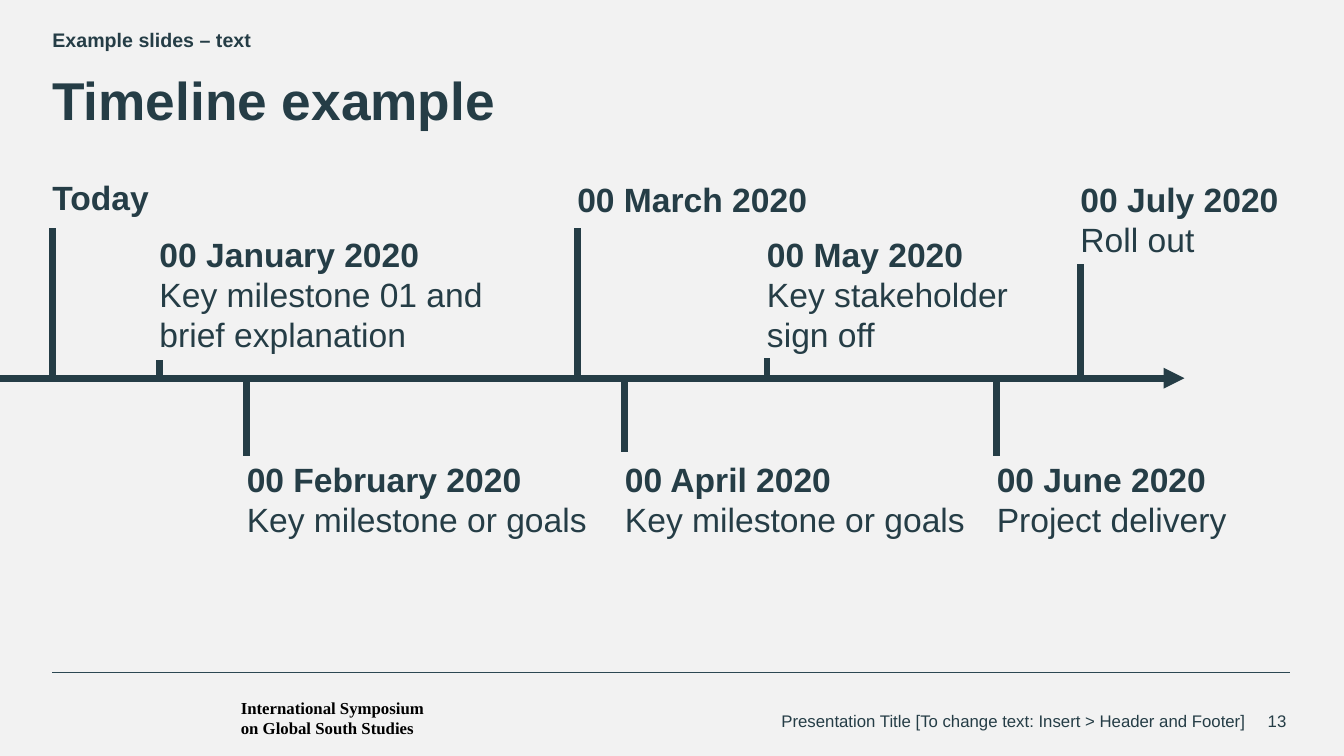
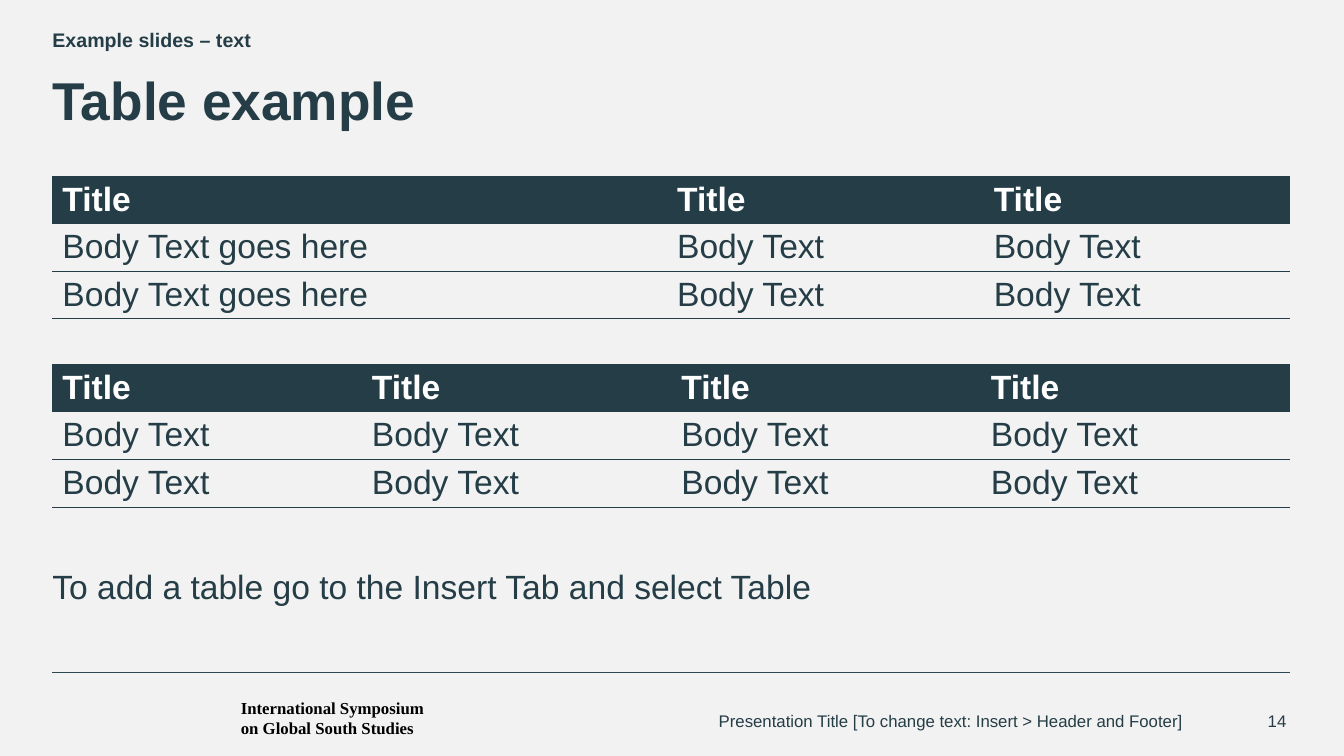
from lxml.etree import SubElement
from pptx import Presentation
from pptx.dml.color import RGBColor
from pptx.enum.shapes import MSO_CONNECTOR
from pptx.enum.text import MSO_ANCHOR, MSO_AUTO_SIZE, PP_ALIGN
from pptx.oxml import parse_xml
from pptx.oxml.ns import nsdecls, qn
from pptx.util import Cm, Pt

COLOURS = {
    "background": "F2F2F2",
    "ink": "253D46",
    "rule": "2C4853",
    "header text": "FFFFFF",
    "organisation": "000000",
}
FONT = "Arial"
ORGANISATION_FONT = "Times New Roman"
LEFT, WIDTH = 1.32, 31.2
AXIS_TOP = 9.53
ROW_HEIGHT = 1.2
PLAIN_TABLE_STYLE = "{2D5ABB26-0587-4C30-8999-92F81FD0307C}"

SECTION = "Example slides – text"
ORGANISATION = "International Symposium\von Global South Studies"
FOOTER = "Presentation Title [To change text: Insert > Header and Footer]"

# text box (left, top, width, height), end of the stem, lines of text
MILESTONES = [
    ((1.32, 4.45, 2.7, 1.27), 5.74, ["Today"]),
    ((4.02, 5.89, 8.66, 3.94), 9.07,
     ["00 January 2020", "Key milestone 01 and brief explanation"]),
    ((6.22, 11.56, 8.84, 3.5), 11.48,
     ["00 February 2020", "Key milestone or goals"]),
    ((14.55, 4.5, 7.5, 1.17), 5.74, ["00 March 2020"]),
    ((15.75, 11.56, 8.9, 3.5), 11.38,
     ["00 April 2020", "Key milestone or goals"]),
    ((19.33, 5.89, 6.43, 2.9), 9.02,
     ["00 May 2020", "Key stakeholder sign off"]),
    ((25.12, 11.56, 7.5, 3.5), 11.48, ["00 June 2020", "Project delivery"]),
    ((27.23, 4.5, 5.6, 2.16), 6.65, ["00 July 2020", "Roll out"]),
]


def colour(name):
    return RGBColor.from_string(COLOURS[name])


class Deck:
    """Holds the presentation, its style and the current slide."""

    def __init__(self):
        self.presentation = Presentation()
        self.presentation.slide_width = Cm(33.87)
        self.presentation.slide_height = Cm(19.05)
        fill = self.presentation.slide_master.background.fill
        fill.solid()
        fill.fore_color.rgb = colour("background")
        self.slide = None

    def new_slide(self, title, number, footer_left, footer_width):
        layout = self.presentation.slide_layouts[1]
        self.slide = self.presentation.slides.add_slide(layout)
        self.line((LEFT, 16.94), (LEFT + WIDTH, 16.94), 0.25, "rule")
        self.text((6.07, 17.48, 5.5, 1.22), [ORGANISATION], size=12,
                  bold_first=True, name="organisation",
                  font=ORGANISATION_FONT, anchor=MSO_ANCHOR.MIDDLE)
        self.placeholder(1, (LEFT, 0.64, WIDTH, 0.79), SECTION, 14, 1.1,
                         MSO_ANCHOR.TOP, space_after=12)
        self.placeholder(0, (LEFT, 1.32, WIDTH, 2), title, 38, 0.9,
                         MSO_ANCHOR.BOTTOM)
        for left, width, text in ((footer_left, footer_width, FOOTER),
                                  (31.4, 1.02, number)):
            self.text((left, 17.65, width, 1.02), [text], size=12,
                      align=PP_ALIGN.RIGHT, anchor=MSO_ANCHOR.MIDDLE)

    def format_font(self, paragraph, size, bold=False, name="ink", font=FONT):
        paragraph.font.name = font
        paragraph.font.size = Pt(size)
        paragraph.font.bold = bold
        paragraph.font.color.rgb = colour(name)

    def format_frame(self, frame, anchor):
        frame.word_wrap = True
        frame.auto_size = MSO_AUTO_SIZE.NONE
        frame.vertical_anchor = anchor
        frame.margin_left = frame.margin_right = 0
        frame.margin_top = frame.margin_bottom = 0

    def placeholder(self, index, box, text, size, line_spacing, anchor,
                    space_after=0):
        shape = self.slide.placeholders[index]
        shape.left, shape.top, shape.width, shape.height = map(Cm, box)
        shape.text_frame.text = text
        self.format_frame(shape.text_frame, anchor)
        paragraph = shape.text_frame.paragraphs[0]
        paragraph.alignment = PP_ALIGN.LEFT
        paragraph.line_spacing = line_spacing
        paragraph.space_before = Pt(0)
        paragraph.space_after = Pt(space_after)
        self.format_font(paragraph, size, bold=True)
        properties = paragraph._p.get_or_add_pPr()
        properties.set("marL", "0")
        properties.set("indent", "0")
        properties.insert_element_before(
            parse_xml(f"<a:buNone {nsdecls('a')}/>"), "a:tabLst", "a:defRPr")

    def text(self, box, lines, size=24, bold_first=False, name="ink",
             font=FONT, align=PP_ALIGN.LEFT, anchor=MSO_ANCHOR.TOP):
        frame = self.slide.shapes.add_textbox(*map(Cm, box)).text_frame
        self.format_frame(frame, anchor)
        frame.text = "\n".join(lines)
        for index, paragraph in enumerate(frame.paragraphs):
            paragraph.alignment = align
            self.format_font(paragraph, size, bold_first and index == 0,
                             name, font)

    def line(self, start, end, width, name="ink", arrow=False):
        connector = self.slide.shapes.add_connector(
            MSO_CONNECTOR.STRAIGHT, *map(Cm, start + end))
        connector.line.width = Pt(width)
        connector.line.color.rgb = colour(name)
        if arrow:
            SubElement(connector.line._get_or_add_ln(), qn("a:tailEnd"),
                       type="triangle")
        SubElement(connector._element.spPr, qn("a:effectLst"))

    def milestone(self, box, stem_end, lines):
        left = box[0]
        self.text(box, lines, bold_first=True)
        self.line((left, AXIS_TOP), (left, stem_end), 5)

    def table(self, top, column_widths, rows):
        table = self.slide.shapes.add_table(
            len(rows), len(column_widths), Cm(LEFT), Cm(top),
            Cm(sum(column_widths)), Cm(ROW_HEIGHT * len(rows))).table
        table.horz_banding = False
        table._tbl.tblPr.find(qn("a:tableStyleId")).text = PLAIN_TABLE_STYLE
        for column, width in zip(table.columns, column_widths):
            column.width = Cm(width)
        for row_index, row in enumerate(rows):
            for column_index, text in enumerate(row):
                self.cell(table.cell(row_index, column_index), text,
                          header=row_index == 0)

    def cell(self, cell, text, header):
        cell.text = text
        self.format_font(cell.text_frame.paragraphs[0], 24, header,
                         "header text" if header else "ink")
        if header:
            cell.fill.solid()
            cell.fill.fore_color.rgb = colour("ink")
        else:
            cell.fill.background()
        cell._tc.get_or_add_tcPr().insert(0, parse_xml(
            f'<a:lnB {nsdecls("a")} w="{Pt(0.25)}"><a:solidFill>'
            f'<a:srgbClr val="{COLOURS["ink"]}"/></a:solidFill></a:lnB>'))


def main():
    deck = Deck()

    deck.new_slide("Timeline example", "13", 9.25, 22.15)
    deck.line((0, AXIS_TOP), (29.85, AXIS_TOP), 5, arrow=True)
    for box, stem_end, lines in MILESTONES:
        deck.milestone(box, stem_end, lines)

    deck.new_slide("Table example", "14", 6.63, 23.19)
    deck.table(4.43, [15.49, 7.98, 7.73],
               [["Title"] * 3]
               + [["Body Text goes here", "Body Text", "Body Text"]] * 2)
    deck.table(9.17, [WIDTH / 4] * 4,
               [["Title"] * 4] + [["Body Text"] * 4] * 2)
    deck.text((LEFT, 14.25, WIDTH, 3.05),
              ["To add a table go to the Insert Tab and select Table"])

    deck.presentation.save("out.pptx")


if __name__ == "__main__":
    main()
